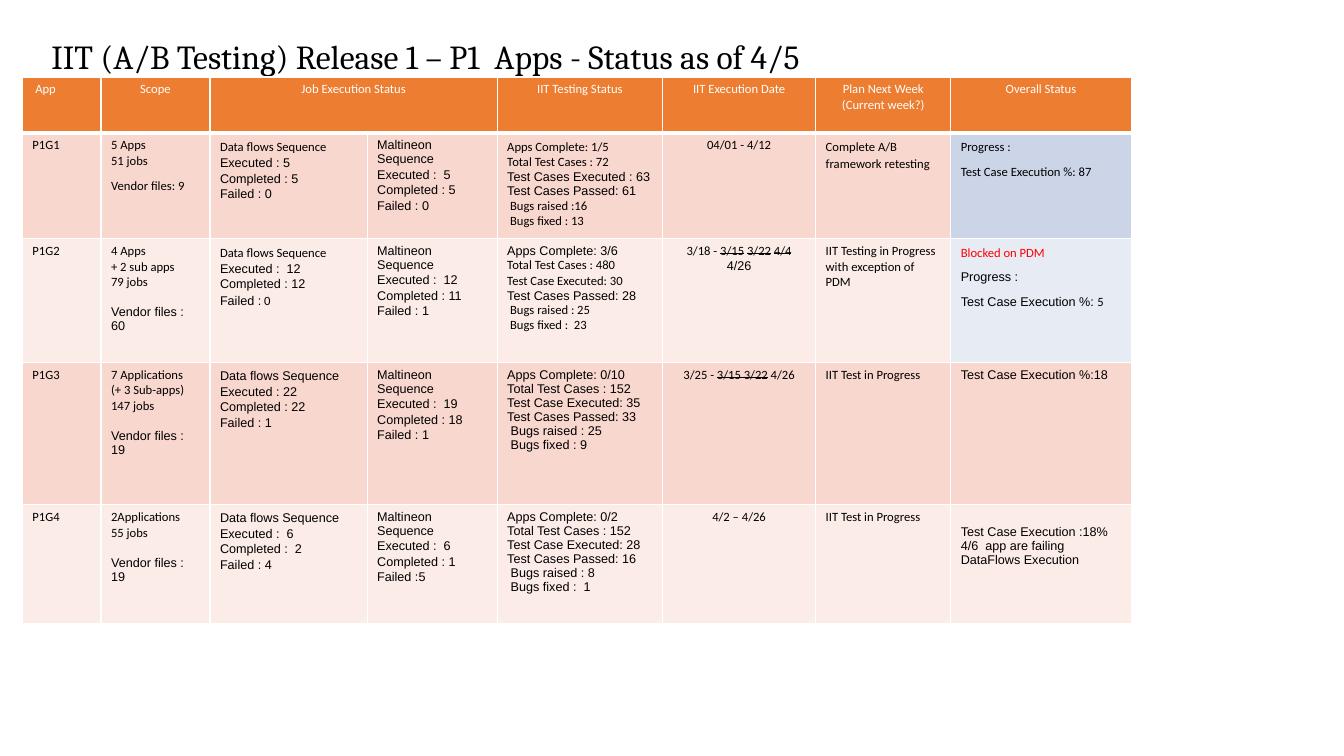
from lxml import etree
from pptx import Presentation
from pptx.dml.color import RGBColor
from pptx.enum.text import MSO_ANCHOR, PP_ALIGN
from pptx.oxml.ns import qn
from pptx.util import Pt

LEFT, CENTER = PP_ALIGN.LEFT, PP_ALIGN.CENTER
MIDDLE = MSO_ANCHOR.MIDDLE

COLORS = {
    "black": "000000", "white": "FFFFFF", "red": "FF0000", "header": "ED7D31",
    "dark band": "F8D7CE", "light band": "FCECE8",
    "dark status": "CBD5E7", "light status": "E7EBF4",
}

STYLES = {
    "calibri": {},
    "arial": {"font": "Arial"},
    "calibri loose": {"spacing": 1.1},
    "arial loose": {"font": "Arial", "spacing": 1.1},
    "calibri spaced": {"spacing": 1.1, "before": 6},
    "arial spaced": {"font": "Arial", "spacing": 1.1, "before": 6},
    "alert": {"spacing": 1.1, "before": 6, "color": "red"},
    "vendor": {"font": "Arial", "before": 11},
    "header": {"color": "white"},
}


def write_line(paragraph, text, font="Calibri", size=9, color="black",
               spacing=1.0, before=0, align=LEFT):
    paragraph.alignment = align
    paragraph.line_spacing = spacing
    paragraph.space_before = Pt(before)
    for section, part in enumerate(text.split("|")):
        for index, piece in enumerate(part.split("~")):
            if piece:
                run = paragraph.add_run()
                run.text = piece
                run.font.name = "Calibri" if section else font
                run.font.size = Pt(size)
                run.font.bold = False
                run.font.color.rgb = RGBColor.from_string(COLORS[color])
                if index % 2:
                    run.font._element.set("strike", "sngStrike")


def format_cell(cell, blocks, fill, align=LEFT, bottom=1):
    cell.fill.solid()
    cell.fill.fore_color.rgb = RGBColor.from_string(COLORS[fill])
    lines = [(style, line) for style, text in blocks for line in text.split("\n")]
    for index, (style, line) in enumerate(lines):
        frame = cell.text_frame
        paragraph = frame.add_paragraph() if index else frame.paragraphs[0]
        write_line(paragraph, line, align=align, **STYLES[style])
    properties = cell._tc.get_or_add_tcPr()
    for position, side in enumerate(("lnL", "lnR", "lnT", "lnB")):
        border = etree.Element(qn(f"a:{side}"))
        border.set("w", str(Pt(bottom if side == "lnB" else 1)))
        solid = etree.SubElement(border, qn("a:solidFill"))
        etree.SubElement(solid, qn("a:srgbClr")).set("val", COLORS["white"])
        properties.insert(position, border)


HEADINGS = [" App", "Scope", "Job Execution Status", "", "IIT Testing Status",
            "IIT Execution Date", "Plan Next Week\n(Current week?)", "Overall Status"]

GROUPS = [
    [
        [("calibri", "P1G1")],
        [("calibri", "5 Apps\n51 jobs"), ("calibri spaced", "Vendor files: 9")],
        [("calibri spaced", "Data flows Sequence"),
         ("arial loose", "Executed : 5\nCompleted : 5\nFailed : 0")],
        [("arial", "Maltineon Sequence"),
         ("arial loose", "Executed :  5\nCompleted : 5\nFailed : 0")],
        [("calibri spaced", "Apps Complete: 1/5"), ("calibri", "Total Test Cases : 72"),
         ("arial", "Test Cases Executed : 63\nTest Cases Passed: 61"),
         ("calibri", " Bugs raised :16\n Bugs fixed : 13")],
        [("calibri", "04/01 - 4/12")],
        [("calibri spaced", "Complete A/B framework retesting")],
        [("calibri spaced", "Progress :\nTest Case Execution %: 87")],
    ],
    [
        [("calibri", "P1G2")],
        [("calibri", "4 Apps\n+ 2 sub apps\n79 jobs"), ("vendor", "Vendor files : 60")],
        [("calibri loose", "Data flows Sequence"),
         ("arial loose", "Executed :  12\nCompleted : 12\nFailed :| 0")],
        [("arial", "Maltineon Sequence"),
         ("arial loose", "Executed :  12\nCompleted : 11\nFailed : 1")],
        [("arial", "Apps Complete: 3/6"),
         ("calibri", "Total Test Cases : 480\nTest Case Executed: 30"),
         ("arial", "Test Cases Passed: 28"),
         ("calibri", " Bugs raised : 25\n Bugs fixed :  23")],
        [("calibri", "3/18 - ~3/15~ ~3/22~ ~4/4~"), ("arial", "4/26")],
        [("calibri", "IIT Testing in Progress with exception of PDM")],
        [("alert", "Blocked on PDM"),
         ("arial spaced", "Progress :\nTest Case Execution %: |5")],
    ],
    [
        [("calibri", "P1G3")],
        [("calibri", "7 Applications\n(+ 3 Sub-apps)\n147 jobs"),
         ("vendor", "Vendor files : 19")],
        [("arial loose", "Data flows Sequence\nExecuted : 22\nCompleted : 22\nFailed : 1")],
        [("arial", "Maltineon Sequence"),
         ("arial loose", "Executed :  19\nCompleted : 18\nFailed : 1")],
        [("arial", "Apps Complete: 0/10\nTotal Test Cases : 152\nTest Case Executed: 35\n"
                   "Test Cases Passed: 33\n Bugs raised : 25\n Bugs fixed : 9")],
        [("calibri", "3/25 - ~3/15 3/22~ 4/26")],
        [("calibri", "IIT Test in Progress")],
        [("arial", "Test Case Execution %:18")],
    ],
    [
        [("calibri", "P1G4")],
        [("calibri", "2Applications\n55 jobs"), ("vendor", "Vendor files : 19")],
        [("arial loose", "Data flows Sequence\nExecuted :  6\nCompleted :  2\nFailed : 4")],
        [("arial", "Maltineon Sequence"),
         ("arial loose", "Executed :  6\nCompleted : 1\nFailed :5")],
        [("arial", "Apps Complete: 0/2\nTotal Test Cases : 152\nTest Case Executed: 28\n"
                   "Test Cases Passed: 16\n Bugs raised : 8\n Bugs fixed :  1")],
        [("calibri", "4/2 – 4/26")],
        [("calibri", "IIT Test in Progress")],
        [("arial", "Test Case Execution :18%\n4/6  app are failing   DataFlows Execution")],
    ],
]

COLUMN_WIDTHS = [56.2, 77.8, 112.3, 92.9, 118.1, 109.4, 96.5, 128.9]
ROW_HEIGHTS = [40, 75.6, 88.5, 101.5, 85]
DATE_COLUMN, STATUS_COLUMN = 5, 7

presentation = Presentation()
presentation.slide_width = Pt(960)
presentation.slide_height = Pt(540)
slide = presentation.slides.add_slide(presentation.slide_layouts[5])

title = slide.shapes.title
title.left, title.top, title.width, title.height = Pt(29.5), Pt(10.8), Pt(901.4), Pt(62.6)
title.text_frame.vertical_anchor = MIDDLE
write_line(title.text_frame.paragraphs[0],
           "IIT (A/B Testing) Release 1 – P1  Apps - Status as of 4/5",
           font="Cambria", size=24, spacing=0.9)

status = slide.shapes.add_table(
    len(ROW_HEIGHTS), len(COLUMN_WIDTHS), Pt(16), Pt(55),
    Pt(sum(COLUMN_WIDTHS)), Pt(sum(ROW_HEIGHTS))).table
for column, width in zip(status.columns, COLUMN_WIDTHS):
    column.width = Pt(width)
for row, height in zip(status.rows, ROW_HEIGHTS):
    row.height = Pt(height)

status.cell(0, 2).merge(status.cell(0, 3))
for column, heading in enumerate(HEADINGS):
    format_cell(status.cell(0, column), [("header", heading)], "header",
                align=CENTER if column else LEFT, bottom=3)

for row, group in enumerate(GROUPS, start=1):
    band = "dark" if row % 2 else "light"
    for column, blocks in enumerate(group):
        tinted = column == STATUS_COLUMN and row <= 2
        format_cell(status.cell(row, column), blocks,
                    f"{band} status" if tinted else f"{band} band",
                    align=CENTER if column == DATE_COLUMN else LEFT)
status.cell(4, STATUS_COLUMN).margin_top = Pt(14.4)

presentation.save("out.pptx")
